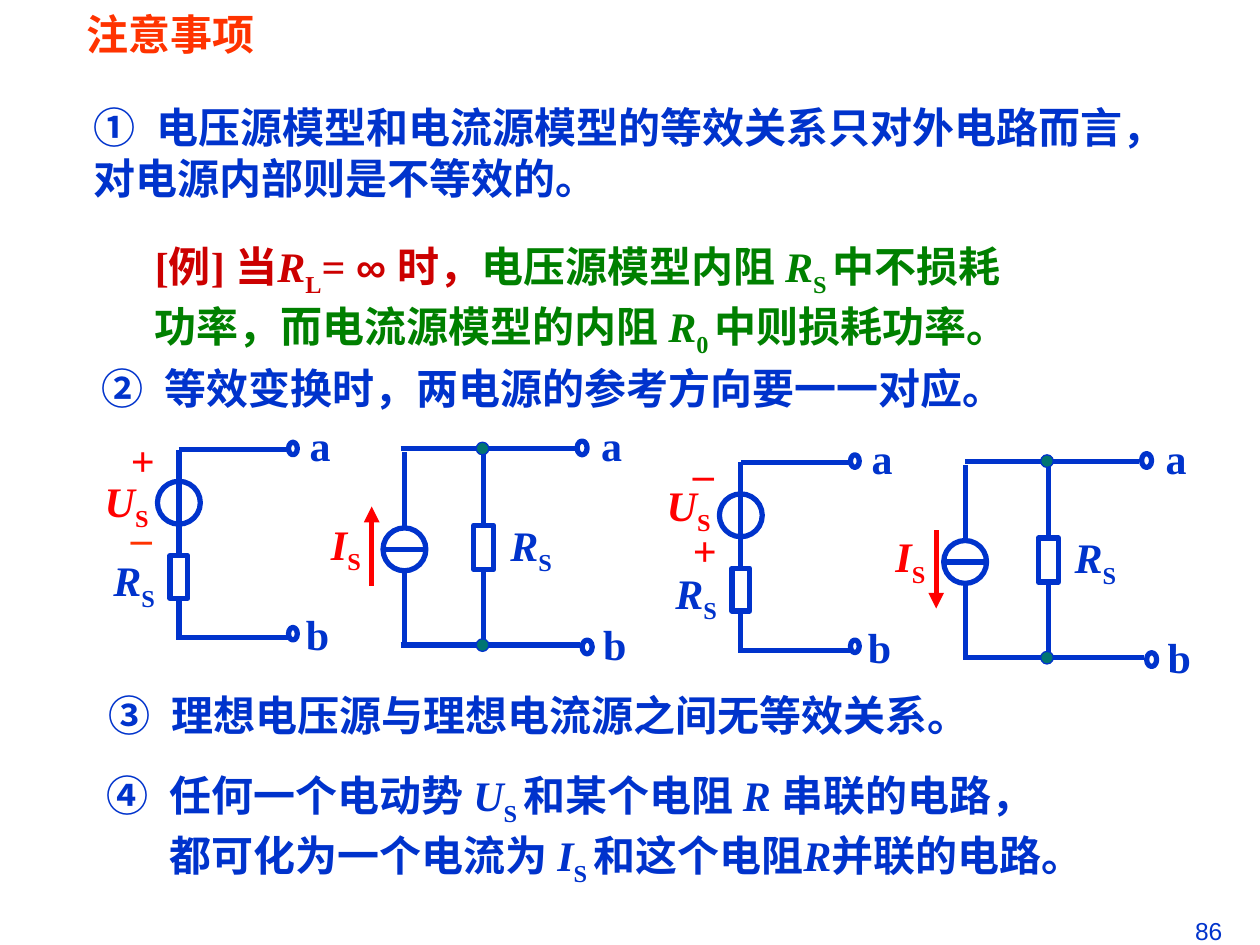
from dataclasses import dataclass
from typing import NamedTuple

from pptx import Presentation
from pptx.dml.color import RGBColor
from pptx.enum.shapes import MSO_CONNECTOR, MSO_SHAPE
from pptx.enum.text import MSO_ANCHOR, MSO_AUTO_SIZE, PP_ALIGN
from pptx.oxml.ns import qn
from pptx.util import Inches, Pt

STRAIGHT = MSO_CONNECTOR.STRAIGHT
OVAL, RECTANGLE = MSO_SHAPE.OVAL, MSO_SHAPE.RECTANGLE
TOP, MIDDLE = MSO_ANCHOR.TOP, MSO_ANCHOR.MIDDLE
LEFT, CENTER, RIGHT = PP_ALIGN.LEFT, PP_ALIGN.CENTER, PP_ALIGN.RIGHT
NO_AUTOFIT = MSO_AUTO_SIZE.NONE
TOP_SITE, BOTTOM_SITE = 0, 2


@dataclass(frozen=True)
class Theme:
    blue: str = "0033CC"
    red: str = "FF0000"
    orange: str = "FF3300"
    crimson: str = "CC0000"
    green: str = "008000"
    teal: str = "007572"
    serif: str = "Times New Roman"
    sans: str = "Arial"
    chinese: str = "Noto Sans CJK SC"
    body_size: float = 24
    number_size: float = 14
    wire: float = 3
    hairline: float = 0.75
    hang: float = 0.5


THEME = Theme()


class Span(NamedTuple):
    text: str
    color: str = THEME.blue
    italic: bool = False
    subscript: bool = False
    font: str = THEME.serif
    size: float = THEME.body_size
    bold: bool = True


class Frame(NamedTuple):
    left: float
    top: float
    width: float
    height: float

    def lengths(self) -> list:
        return [Inches(value) for value in self]


@dataclass(frozen=True)
class VoltageSource:
    x: float  # top left corner of the wiring
    y: float
    signs: tuple
    label_drop: float


@dataclass(frozen=True)
class CurrentSource:
    x: float  # upper node of the resistor branch
    y: float
    branch: float
    arrow_ends: tuple


def symbol(name: str, index: str, color: str = THEME.blue) -> list:
    return [Span(name, color, italic=True), Span(index, color, subscript=True)]


def fill_text(frame, paragraphs: list, align=LEFT, gap: float = 1.5) -> None:
    for number, spans in enumerate(paragraphs):
        para = frame.add_paragraph() if number else frame.paragraphs[0]
        para.alignment = align
        if number:
            para.space_before = Pt(gap)
        if "\t" in spans[0].text:
            properties = para._p.get_or_add_pPr()
            tabs = properties.makeelement(qn("a:tabLst"), {})
            tabs.append(tabs.makeelement(
                qn("a:tab"), {"pos": str(Inches(THEME.hang)), "algn": "l"}))
            properties.append(tabs)
        for span in spans:
            run = para.add_run()
            run.text = span.text
            font = run.font
            font.name, font.size = span.font, Pt(span.size)
            font.bold, font.italic = span.bold, span.italic
            font.color.rgb = RGBColor.from_string(span.color)
            properties = run._r.get_or_add_rPr()
            if span.subscript:
                properties.set("baseline", "-25000")
            properties.append(properties.makeelement(
                qn("a:ea"), {"typeface": THEME.chinese}))


def add_text(page, place: Frame, paragraphs: list, align=LEFT):
    box = page.shapes.add_textbox(*place.lengths())
    box.text_frame.word_wrap = True
    fill_text(box.text_frame, paragraphs, align)
    return box


def add_label(page, place: Frame, *paragraphs: list) -> None:
    box = page.shapes.add_textbox(*place.lengths())
    box.text_frame.word_wrap = False
    box.text_frame.vertical_anchor = MIDDLE
    fill_text(box.text_frame, list(paragraphs), CENTER, gap=15)


def add_part(page, kind, place: Frame, fill: str = "", width: float = THEME.wire):
    part = page.shapes.add_shape(kind, *place.lengths())
    part.shadow.inherit = False
    if fill:
        part.fill.solid()
        part.fill.fore_color.rgb = RGBColor.from_string(fill)
    else:
        part.fill.background()
    part.line.color.rgb = RGBColor.from_string(THEME.blue)
    part.line.width = Pt(width)
    return part


def add_wire(page, x1: float, y1: float, x2: float, y2: float,
             color: str = THEME.blue, arrow: bool = False):
    wire = page.shapes.add_connector(STRAIGHT, *Frame(x1, y1, x2, y2).lengths())
    wire.line.color.rgb = RGBColor.from_string(color)
    wire.line.width = Pt(THEME.wire)
    properties = wire._element.spPr
    if arrow:
        outline = properties.find(qn("a:ln"))
        outline.append(outline.makeelement(qn("a:tailEnd"), {"type": "triangle"}))
    properties.append(properties.makeelement(qn("a:effectLst"), {}))
    return wire


def add_resistor(page, x: float, start: float, end: float, place: Frame) -> None:
    """Draw a resistor with its two leads joined to it."""
    resistor = add_part(page, RECTANGLE, place)
    upper = add_wire(page, x, start, x, place.top)
    upper.end_connect(resistor, TOP_SITE)
    lower = add_wire(page, x, place.top + place.height, x, end)
    lower.begin_connect(resistor, BOTTOM_SITE)


def draw_voltage_source(page, source: VoltageSource) -> None:
    x, y = source.x, source.y
    add_part(page, OVAL, Frame(x - 0.17, y + 0.25, 0.34, 0.34))
    add_resistor(page, x, y, y + 1.51, Frame(x - 0.07, y + 0.84, 0.14, 0.34))
    # Terminals
    for wire_y, ring_y in ((0, -0.06), (1.49, 1.41)):
        add_wire(page, x, y + wire_y, x + 0.87, y + wire_y)
        add_part(page, OVAL, Frame(x + 0.87, y + ring_y, 0.07, 0.1))
    # Labels
    add_label(page, Frame(x + 0.94, y - 0.29, 0.36, 0.5), [Span("a")])
    add_label(page, Frame(x + 0.91, y + 1.21, 0.38, 0.5), [Span("b")])
    add_label(page, Frame(x - 0.63, y + 0.78, 0.55, 0.56), symbol("R", "S"))
    add_label(page, Frame(x - 0.48, y - 0.17, 0.28, 1.11),
              *([sign] for sign in source.signs))
    add_label(page, Frame(x - 0.69, y + source.label_drop, 0.55, 0.56),
              symbol("U", "S", THEME.red))


def draw_current_source(page, source: CurrentSource) -> None:
    x, y = source.x, source.y
    # Source branch
    branch = x + source.branch
    add_part(page, OVAL, Frame(branch - 0.17, y + 0.63, 0.34, 0.34))
    add_wire(page, branch - 0.17, y + 0.8, branch + 0.17, y + 0.8)
    add_wire(page, branch, y + 0.03, branch, y + 0.63)
    add_wire(page, branch, y + 0.97, branch, y + 1.58)
    add_resistor(page, x, y, y + 1.56, Frame(x - 0.08, y + 0.61, 0.16, 0.35))
    # Terminals and junctions
    for wire_y, reach, ring_y in ((0, 0.72, -0.06), (1.56, 0.76, 1.52)):
        add_wire(page, x - 0.66, y + wire_y, x + reach, y + wire_y)
        add_part(page, OVAL, Frame(x + reach + 0.02, y + ring_y, 0.08, 0.11))
        add_part(page, OVAL, Frame(x - 0.06, y + wire_y - 0.05, 0.1, 0.1),
                 THEME.teal, THEME.hairline)
    # Current direction and labels
    start, end = source.arrow_ends
    add_wire(page, x - 0.89, y + start, x - 0.89, y + end, THEME.red, arrow=True)
    add_label(page, Frame(x - 1.47, y + 0.5, 0.75, 0.56), symbol("I", "S", THEME.red))
    add_label(page, Frame(x + 0.04, y + 0.51, 0.67, 0.56), symbol("R", "S"))
    add_label(page, Frame(x + 0.78, y - 0.28, 0.47, 0.5), [Span("a")])
    add_label(page, Frame(x + 0.84, y + 1.3, 0.4, 0.5), [Span("b")])


def main() -> None:
    deck = Presentation()
    deck.slide_width, deck.slide_height = Inches(10), Inches(7.5)
    page = deck.slides.add_slide(deck.slide_layouts[5])

    # Title
    title = page.shapes.title
    title.left, title.top, title.width, title.height = Frame(0.59, 0.02, 3.08, 0.5).lengths()
    title.text_frame.vertical_anchor = TOP
    title.text_frame.auto_size = NO_AUTOFIT
    fill_text(title.text_frame, [[Span("注意事项", THEME.orange, font=THEME.chinese)]])

    # Numbered notes
    add_text(page, Frame(0.64, 0.76, 9.08, 0.9), [[Span(
        "①\t电压源模型和电流源模型的等效关系只对外电路而言， 对电源内部则是不等效的。")]])
    add_text(page, Frame(0.71, 2.83, 9.33, 0.5),
             [[Span("②\t等效变换时，两电源的参考方向要一一对应。")]])
    add_text(page, Frame(0.76, 5.42, 8.33, 0.5),
             [[Span("③\t理想电压源与理想电流源之间无等效关系。")]])
    last = add_text(page, Frame(0.75, 6.06, 9.17, 1.03), [
        [Span("④\t任何一个电动势 "), *symbol("U", "S "), Span("和某个电阻 "),
         Span("R ", italic=True), Span("串联的电路，")],
        [Span("都可化为一个电流为 "), *symbol("I", "S "), Span("和这个电阻"),
         Span("R", italic=True), Span("并联的电路。")]])
    last.text_frame.paragraphs[1]._p.get_or_add_pPr().set("marL", str(Inches(THEME.hang)))

    # Worked example
    crimson, green = THEME.crimson, THEME.green
    add_text(page, Frame(1.13, 1.86, 8.51, 1.03), [
        [Span("[例] 当", crimson), *symbol("R", "L", crimson), Span("= ", crimson),
         Span("∞ ", crimson, font=THEME.sans), Span("时，", crimson),
         Span("电压源模型内阻 ", green), *symbol("R", "S ", green), Span("中不损耗", green)],
        [Span("功率，而电流源模型的内阻 ", green), *symbol("R", "0 ", green),
         Span("中则损耗功率。", green)]])

    # Equivalent circuit pairs
    plus, minus = Span("+", THEME.red), Span("–", THEME.red)
    draw_voltage_source(page, VoltageSource(
        1.42, 3.57, (plus, minus._replace(color=THEME.orange)), 0.15))
    draw_current_source(page, CurrentSource(3.84, 3.56, -0.63, (1.09, 0.46)))
    draw_voltage_source(page, VoltageSource(5.88, 3.67, (minus, plus), 0.08))
    draw_current_source(page, CurrentSource(8.32, 3.66, -0.66, (0.55, 1.17)))

    # Page number
    add_text(page, Frame(7.3, 7.22, 2.5, 0.52), [[Span(
        "86", font=THEME.sans, size=THEME.number_size, bold=False)]], RIGHT)

    deck.save("out.pptx")


if __name__ == "__main__":
    main()
